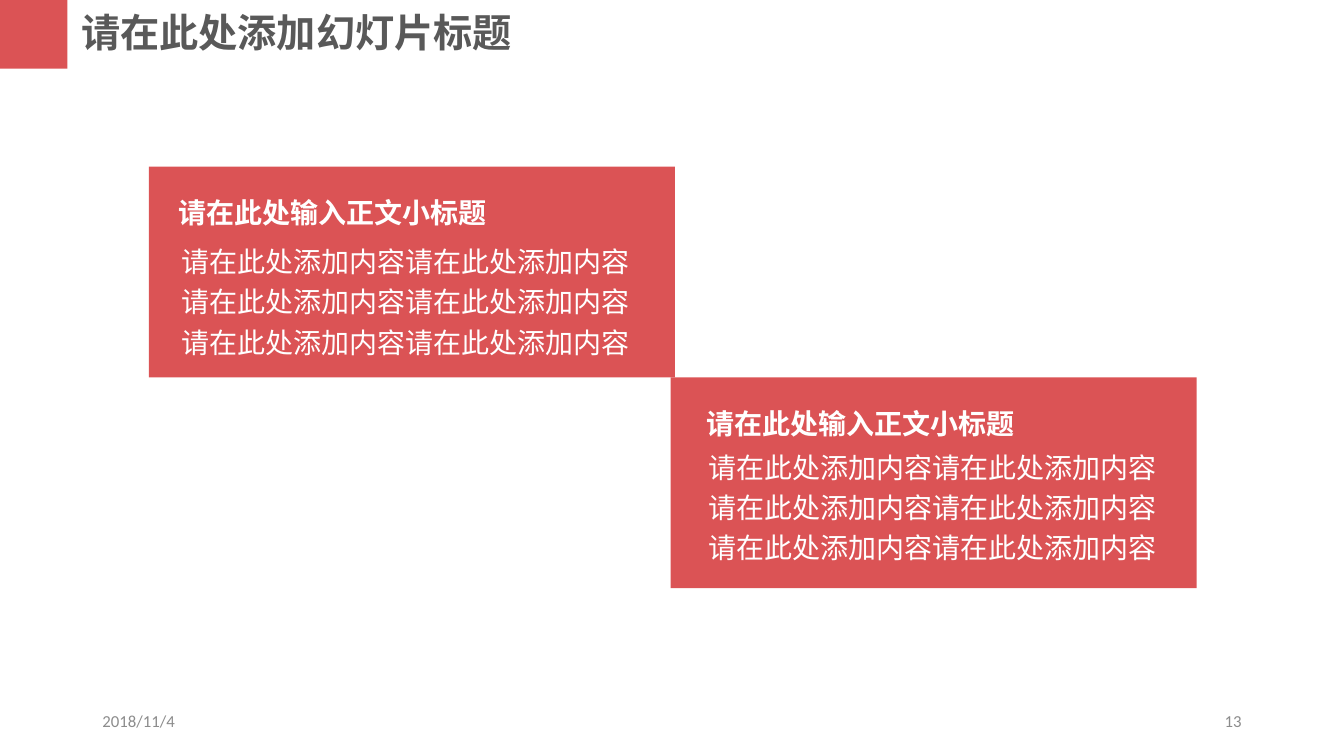
import pptx
import pptx.dml.color
import pptx.enum.shapes
import pptx.enum.text
import pptx.oxml
import pptx.oxml.ns
import pptx.util

Cm = pptx.util.Cm
ALIGN = pptx.enum.text.PP_ALIGN
ANCHOR = pptx.enum.text.MSO_ANCHOR
GROW = pptx.enum.text.MSO_AUTO_SIZE.SHAPE_TO_FIT_TEXT

RED = "DB5355"
CHINESE_FONT = "Noto Sans CJK SC"
TITLE_FORMAT = {"size": pptx.util.Pt(28), "bold": True, "name": CHINESE_FONT}
HEADING_FORMAT = {"size": pptx.util.Pt(20), "bold": True, "name": CHINESE_FONT}
BODY_FORMAT = {"size": pptx.util.Pt(20), "bold": False, "name": CHINESE_FONT}
FOOTER_FORMAT = {"size": pptx.util.Pt(12), "bold": False, "name": "Calibri"}
GROWING_FRAME = {"word_wrap": True, "auto_size": GROW}
FOOTER_FRAME = {"word_wrap": True, "vertical_anchor": ANCHOR.MIDDLE}
GROWING_PARAGRAPH = {"line_spacing": 1.2}

CONTENT = "请在此处添加内容请在此处添加内容"


def color(hex_string):
    return pptx.dml.color.RGBColor.from_string(hex_string)


def apply_format(target, values):
    for name, value in values.items():
        setattr(target, name, value)


def add_block(slide, left, top, width, height):
    shape = slide.shapes.add_shape(
        pptx.enum.shapes.MSO_SHAPE.RECTANGLE, Cm(left), Cm(top), Cm(width), Cm(height)
    )
    shape.shadow.inherit = False
    shape.fill.solid()
    shape.fill.fore_color.rgb = color(RED)
    shape.line.fill.background()


def add_text(slide, box, lines, font_format, text_color, frame_format, paragraph_format):
    left, top, width, height = box
    shape = slide.shapes.add_textbox(Cm(left), Cm(top), Cm(width), Cm(height))
    frame = shape.text_frame
    apply_format(frame, frame_format)
    frame.text = "\n".join(lines)
    for paragraph in frame.paragraphs:
        apply_format(paragraph, paragraph_format)
        for run in paragraph.runs:
            run.font.color.rgb = color(text_color)
            apply_format(run.font, font_format)
            east_asian = pptx.oxml.parse_xml(f'<a:ea {pptx.oxml.ns.nsdecls("a")}/>')
            east_asian.set("typeface", font_format["name"])
            run.font._element.append(east_asian)


def add_header(slide, left, top, width, height):
    add_block(slide, left, top, 1.7, 1.73)
    title_box = (left + 1.8, top + 0.08, width - 1.8, height)
    add_text(slide, title_box, ["请在此处添加幻灯片标题"], TITLE_FORMAT, "595959", GROWING_FRAME, {})


def add_card(slide, left, top, width, height, heading_offset, body_offset):
    add_block(slide, left, top, width, height)
    text_width = width - 1.14
    parts = (
        (body_offset, 3.33, [CONTENT * 2, CONTENT], BODY_FORMAT),
        (heading_offset, 1.19, ["请在此处输入正文小标题"], HEADING_FORMAT),
    )
    for (across, down), text_height, lines, font_format in parts:
        box = (left + across, top + down, text_width, text_height)
        add_text(slide, box, lines, font_format, "FFFFFF", GROWING_FRAME, GROWING_PARAGRAPH)


def add_footer(slide, left, top, width, height):
    field_width = 7.62
    fields = (
        (left, "2018/11/4", ALIGN.LEFT),
        (left + width - field_width, "13", ALIGN.RIGHT),
    )
    for field_left, text, alignment in fields:
        box = (field_left, top, field_width, height)
        add_text(slide, box, [text], FOOTER_FORMAT, "8C8C8C", FOOTER_FRAME, {"alignment": alignment})


def main():
    presentation = pptx.Presentation()
    presentation.slide_width = Cm(33.87)
    presentation.slide_height = Cm(19.05)
    slide = presentation.slides.add_slide(presentation.slide_layouts[6])
    add_header(slide, 0, 0, 14.25, 1.45)
    add_card(slide, 3.75, 4.2, 13.26, 5.31, (0.5, 0.43), (0.57, 1.67))
    add_card(slide, 16.9, 9.51, 13.26, 5.31, (0.65, 0.45), (0.7, 1.54))
    add_footer(slide, 2.33, 17.66, 29.21, 1.01)
    presentation.save("out.pptx")


if __name__ == "__main__":
    main()
